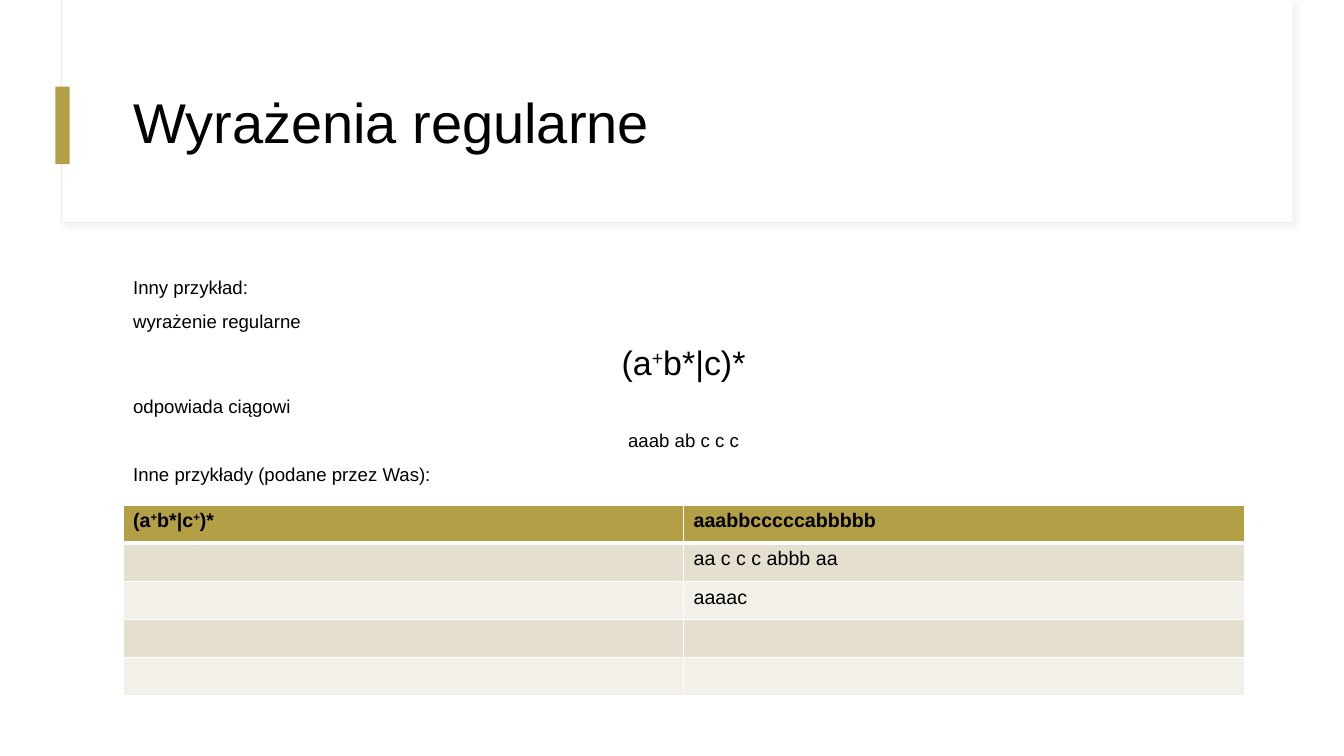
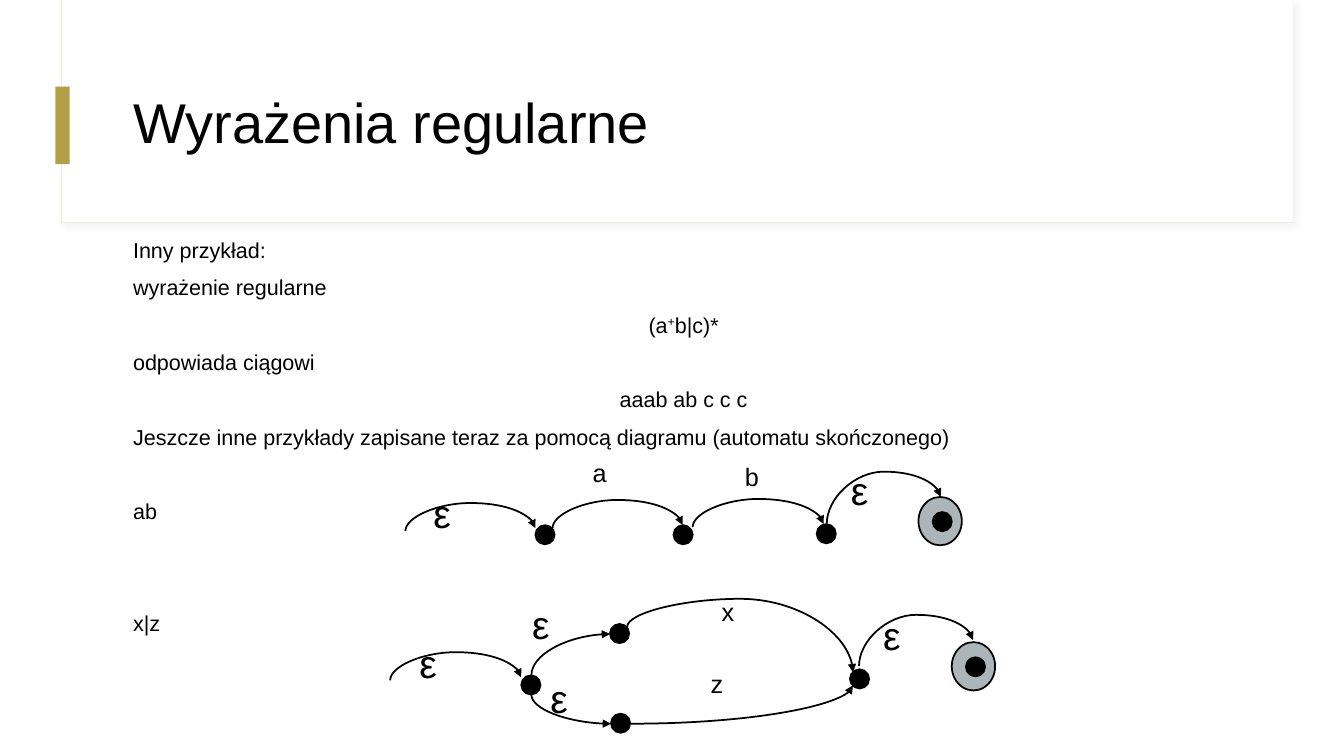
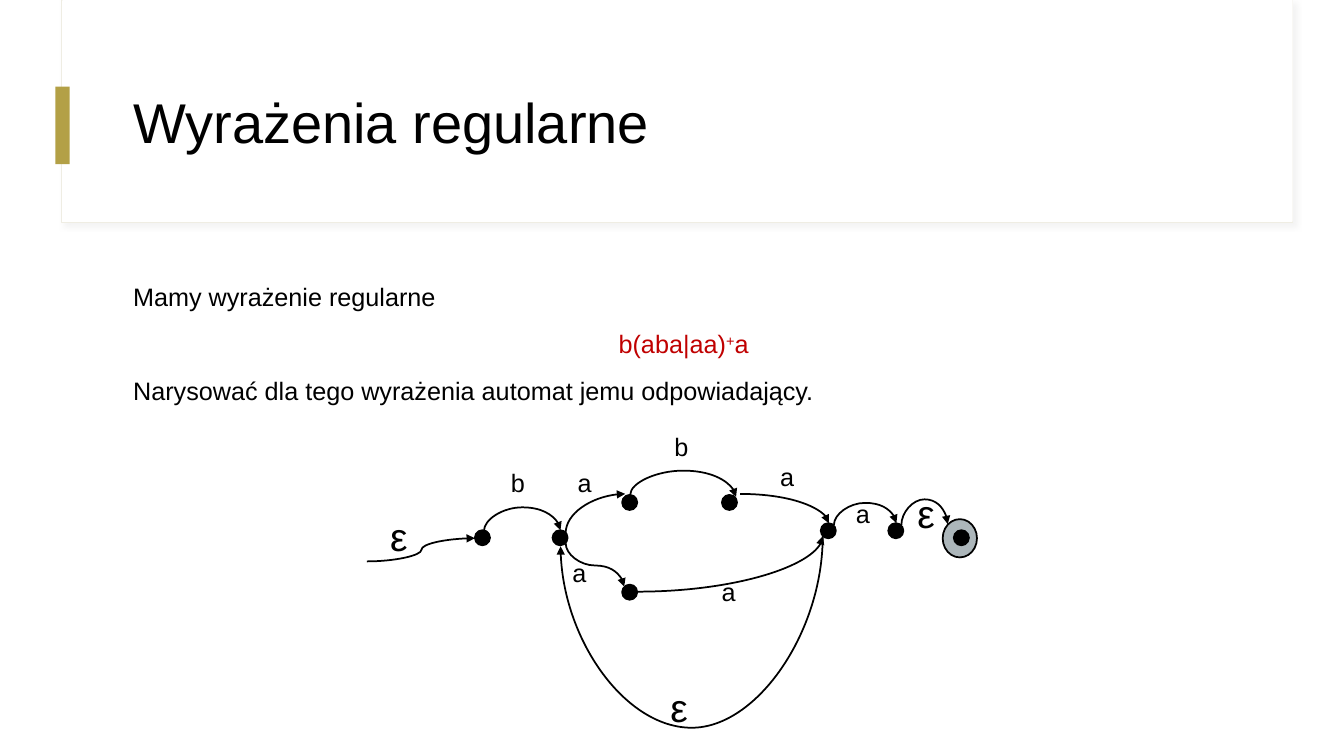
from dataclasses import dataclass

import lxml.etree
import pptx
import pptx.dml.color
import pptx.enum.shapes
import pptx.enum.text
import pptx.oxml
import pptx.oxml.ns
import pptx.util

Inches = pptx.util.Inches
Pt = pptx.util.Pt
qn = pptx.oxml.ns.qn
ALIGN = pptx.enum.text.PP_ALIGN
ANCHOR = pptx.enum.text.MSO_ANCHOR
AUTO_SIZE = pptx.enum.text.MSO_AUTO_SIZE
SHAPE = pptx.enum.shapes.MSO_SHAPE


@dataclass(frozen=True)
class Theme:
    font: str = "Arial"
    text: str = "000000"
    paper: str = "FFFFFF"
    accent: str = "B3A046"
    panel_line: str = "EFEDE3"
    shadow: str = "D9D9D9"
    highlight: str = "C00000"
    final_state: str = "ACB6BA"
    bands: tuple = ("E5DFCF", "F2F0E9")
    title_size: float = 40
    formula_size: float = 24.2
    table_size: float = 14
    letter_size: float = 18
    epsilon_size: float = 28
    line_width: float = 1.25


THEME = Theme()
LEFT, WIDTH = 1.22, 11.12


def rgb(value):
    return pptx.dml.color.RGBColor.from_string(value)


def child(parent, tag, **attributes):
    return lxml.etree.SubElement(
        parent, qn(tag), {name: str(value) for name, value in attributes.items()})


def write(paragraph, text, *, size, color=THEME.text, bold=False,
          align=ALIGN.LEFT, spacing=None, before=None):
    """Fill a paragraph; a character after ^ is set as superscript."""
    paragraph.alignment = align
    paragraph.line_spacing = spacing
    if before is not None:
        paragraph.space_before = Pt(before)
    first, *rest = text.split("^")
    pieces = [(first, False)]
    for part in rest:
        pieces += [(part[0], True), (part[1:], False)]
    for piece, raised in pieces:
        if not piece:
            continue
        run = paragraph.add_run()
        run.text = piece
        run.font.name = THEME.font
        run.font.size = Pt(size)
        run.font.bold = bold
        run.font.color.rgb = rgb(color)
        if raised:
            run.font._element.set("baseline", "30000")
    if not text:
        paragraph._p.get_or_add_endParaRPr().set("sz", str(int(size * 100)))


def add_shape(shapes, kind, box, fill, line=None, line_width=THEME.line_width):
    shape = shapes.add_shape(kind, *map(Inches, box))
    shape.shadow.inherit = False
    shape.fill.solid()
    shape.fill.fore_color.rgb = rgb(fill)
    if line:
        shape.line.color.rgb = rgb(line)
        shape.line.width = Pt(line_width)
    else:
        shape.line.fill.background()
    return shape


def place(shape, box):
    shape.left, shape.top, shape.width, shape.height = map(Inches, box)


def dress_layout(layout, slide):
    """Put the title panel and the placeholder places on the layout."""
    title = layout.placeholders[0]
    place(title, (LEFT, 0.6, WIDTH, 1.29))
    panel = add_shape(slide.shapes, SHAPE.RECTANGLE, (0.61, 0, 12.21, 2.21),
                      THEME.paper, THEME.panel_line, 0.75)
    shadow = child(panel.element.spPr.find(qn("a:effectLst")), "a:outerShdw",
                   blurRad=Pt(4), dist=Pt(3), dir=45 * 60000,
                   algn="tl", rotWithShape=0)
    child(child(shadow, "a:srgbClr", val=THEME.shadow), "a:alpha", val=30000)
    cover = add_shape(slide.shapes, SHAPE.RECTANGLE, (0.62, 0, 12.2, 2.2), THEME.paper)
    accent = add_shape(slide.shapes, SHAPE.RECTANGLE, (0.55, 0.86, 0.14, 0.77),
                       THEME.accent)
    tree = title.element.getparent()
    for position, shape in enumerate((panel, cover, accent), start=2):
        tree.insert(position, shape.element)


def add_title(slide, text):
    frame = slide.shapes.title.text_frame
    frame.vertical_anchor = ANCHOR.MIDDLE
    frame.auto_size = AUTO_SIZE.NONE
    write(frame.paragraphs[0], text, size=THEME.title_size, spacing=0.9)


def add_body(slide, top, height, lines, *, size, spacing=0.9):
    """Each line is a text and its own format options."""
    body = slide.placeholders[1]
    place(body, (LEFT, top, WIDTH, height))
    frame = body.text_frame
    frame.auto_size = AUTO_SIZE.NONE
    for index, (text, options) in enumerate(lines):
        paragraph = frame.add_paragraph() if index else frame.paragraphs[0]
        settings = {"size": size, "spacing": spacing, "before": 10,
                    "align": ALIGN.JUSTIFY, **options}
        write(paragraph, text, **settings)
        properties = paragraph._p.get_or_add_pPr()
        properties.set("marL", "0")
        properties.set("indent", "0")
        child(properties, "a:buNone")


def add_border(cell, side, width):
    line = child(cell._tc.get_or_add_tcPr(), f"a:ln{side}", w=Pt(width))
    child(child(line, "a:solidFill"), "a:srgbClr", val=THEME.paper)


def add_table(slide, rows, top, height):
    frame = slide.shapes.add_table(len(rows), len(rows[0]), Inches(LEFT), Inches(top),
                                   Inches(WIDTH), Inches(height))
    for row_index, row in enumerate(rows):
        header = row_index == 0
        fill = THEME.accent if header else THEME.bands[(row_index - 1) % 2]
        for column_index, text in enumerate(row):
            cell = frame.table.cell(row_index, column_index)
            for side in "LRTB":
                thick = (header and side == "B") or (row_index == 1 and side == "T")
                add_border(cell, side, 3 if thick else 1)
            cell.fill.solid()
            cell.fill.fore_color.rgb = rgb(fill)
            write(cell.text_frame.paragraphs[0], text,
                  size=THEME.table_size, bold=header)


def add_curve(shapes, start, end, turn=None, leave="y"):
    """Arrow leaving along one axis: a quarter bend, or a bow reaching turn."""
    dx, dy = end[0] - start[0], end[1] - start[1]
    connector = shapes.add_connector(pptx.enum.shapes.MSO_CONNECTOR.CURVE,
                                     *map(Inches, (*start, *end)))
    properties = connector.element.spPr
    if leave == "y":
        place(connector, ((start[0] + end[0] - abs(dy)) / 2,
                          (start[1] + end[1] - abs(dx)) / 2, abs(dy), abs(dx)))
        frame = properties.xfrm
        falling = dx > 0 and dy > 0
        frame.rot = 270.0 if falling else 90.0
        frame.flipH = falling or dy < 0
        frame.flipV = dx > 0 and not falling
    geometry = properties.find(qn("a:prstGeom"))
    if turn is None:
        geometry.set("prst", "curvedConnector2")
    else:
        share = (turn - start[1]) / dy if leave == "y" else (turn - start[0]) / dx
        child(geometry[0], "a:gd", name="adj1", fmla=f"val {round(share * 100000)}")
    connector.line.color.rgb = rgb(THEME.text)
    connector.line.width = Pt(THEME.line_width)
    child(properties.find(qn("a:ln")), "a:tailEnd", type="triangle")
    child(properties, "a:effectLst")


def add_label(shapes, text, corner, box_size):
    box = shapes.add_textbox(*map(Inches, (*corner, *box_size)))
    frame = box.text_frame
    frame.word_wrap = True
    frame.auto_size = AUTO_SIZE.SHAPE_TO_FIT_TEXT
    write(frame.paragraphs[0], text,
          size=THEME.epsilon_size if text == "ε" else THEME.letter_size)


def add_automaton(slide, *, final, states, curves, labels, state_size, final_size,
                  letter_box, epsilon_box):
    shapes = slide.shapes.add_group_shape().shapes
    add_shape(shapes, SHAPE.FLOWCHART_CONNECTOR, (*final, *final_size),
              THEME.final_state, THEME.text)
    for corner in states:
        add_shape(shapes, SHAPE.FLOWCHART_CONNECTOR, (*corner, state_size, state_size),
                  THEME.text, THEME.text)
    for curve in curves:
        add_curve(shapes, *curve)
    for text, *corner in labels:
        add_label(shapes, text, corner, epsilon_box if text == "ε" else letter_box)


def fill_examples(slide):
    centre = {"align": ALIGN.CENTER}
    add_body(slide, 2.71, 2.3, [
        ("Inny przykład:", {}),
        ("wyrażenie regularne", {}),
        ("(a^+b*|c)*", {**centre, "size": THEME.formula_size}),
        ("odpowiada ciągowi", {}),
        ("aaab ab c c c", centre),
        ("Inne przykłady (podane przez Was):", {"align": ALIGN.LEFT}),
    ], size=13.3)
    add_table(slide, [
        ("(a^+b*|c^+)*", "aaabbcccccabbbbb"),
        ("", "aa c c c abbb aa"),
        ("", "aaaac"),
        ("", ""),
        ("", ""),
    ], 5.01, 1.89)


def fill_diagrams(slide):
    centre, left = {"align": ALIGN.CENTER}, {"align": ALIGN.LEFT}
    add_body(slide, 2.33, 4.42, [
        ("Inny przykład:", {}),
        ("wyrażenie regularne", {}),
        ("(a^+b|c)*", centre),
        ("odpowiada ciągowi", {}),
        ("aaab ab c c c", centre),
        ("Jeszcze inne przykłady zapisane teraz za pomocą diagramu "
         "(automatu skończonego)", left),
        ("ab", {**left, "before": 36.6}),
        ("x|z", {**left, "before": 63.2}),
    ], size=15.4)
    sizes = {"state_size": 0.19, "final_size": (0.43, 0.48), "epsilon_box": (0.79, 0.73)}
    add_automaton(
        slide, final=(9.11, 4.93), letter_box=(0.46, 0.65), **sizes,
        states=[(5.31, 5.21), (6.68, 5.21), (8.1, 5.2), (9.25, 5.08)],
        curves=[((4.02, 5.27), (5.31, 5.24), 4.99),
                ((5.48, 5.24), (6.77, 5.21), 4.96),
                ((6.87, 5.23), (8.17, 5.2), 4.95),
                ((8.2, 5.2), (9.33, 4.93), 4.68)],
        labels=[("ε", 4.2, 4.81), ("a", 5.78, 4.49), ("b", 7.29, 4.53),
                ("ε", 8.34, 4.58)])
    add_automaton(
        slide, final=(9.44, 6.37), letter_box=(0.46, 0.5), **sizes,
        states=[(5.17, 6.7), (6.05, 6.19), (6.06, 7.08), (8.43, 6.64), (9.58, 6.52)],
        curves=[((3.87, 6.75), (5.17, 6.72), 6.47),
                ((5.27, 6.7), (6.05, 6.29)),
                ((5.27, 6.89), (6.06, 7.18)),
                ((6.22, 6.22), (8.46, 6.67), 5.94),
                ((6.26, 7.18), (8.46, 6.8), None, "x"),
                ((8.52, 6.61), (9.65, 6.35), 6.1)],
        labels=[("ε", 4.06, 6.29), ("ε", 5.18, 5.91), ("ε", 5.36, 6.64),
                ("x", 7.06, 5.87), ("z", 6.95, 6.58), ("ε", 8.66, 6.02)])


def fill_exercise(slide):
    add_body(slide, 2.71, 4.04, [
        ("Mamy wyrażenie regularne", {}),
        ("b(aba|aa)^+a", {"align": ALIGN.CENTER, "color": THEME.highlight}),
        ("Narysować dla tego wyrażenia automat jemu odpowiadający.", {}),
    ], size=18, spacing=1.1)
    add_automaton(
        slide, final=(9.35, 5.15), state_size=0.15, final_size=(0.34, 0.38),
        letter_box=(0.36, 0.51), epsilon_box=(0.62, 0.58),
        states=[(4.71, 5.26), (5.48, 5.26), (6.17, 4.91), (6.17, 5.8),
                (7.16, 4.91), (8.14, 5.19), (8.81, 5.19), (9.46, 5.26)],
        curves=[((3.64, 5.57), (4.71, 5.34), 4.18, "x"),
                ((4.8, 5.27), (5.56, 5.26), 5.03),
                ((5.61, 5.29), (6.2, 4.9)),
                ((6.25, 4.91), (7.3, 4.93), 4.67),
                ((7.34, 4.9), (8.22, 5.19), None, "x"),
                ((5.61, 5.39), (6.19, 5.82), 5.61),
                ((6.32, 5.87), (8.16, 5.32), None, "x"),
                ((8.27, 5.21), (8.89, 5.19), 4.99),
                ((8.16, 5.32), (5.56, 5.42), 7.22),
                ((8.94, 5.21), (9.4, 5.2), 4.95)],
        labels=[("ε", 3.77, 5.03), ("b", 4.97, 4.59), ("a", 5.63, 4.59),
                ("b", 6.59, 4.23), ("a", 7.64, 4.53), ("a", 5.58, 5.48),
                ("a", 7.06, 5.67), ("ε", 6.55, 6.73), ("a", 8.39, 4.89),
                ("ε", 9, 4.8)])


def main():
    presentation = pptx.Presentation()
    presentation.slide_width = Inches(13.33)
    presentation.slide_height = Inches(7.5)
    layout = presentation.slide_layouts[1]
    for index, fill in enumerate((fill_examples, fill_diagrams, fill_exercise)):
        slide = presentation.slides.add_slide(layout)
        if index == 0:
            dress_layout(layout, slide)
        add_title(slide, "Wyrażenia regularne")
        fill(slide)
    presentation.save("out.pptx")


if __name__ == "__main__":
    main()
